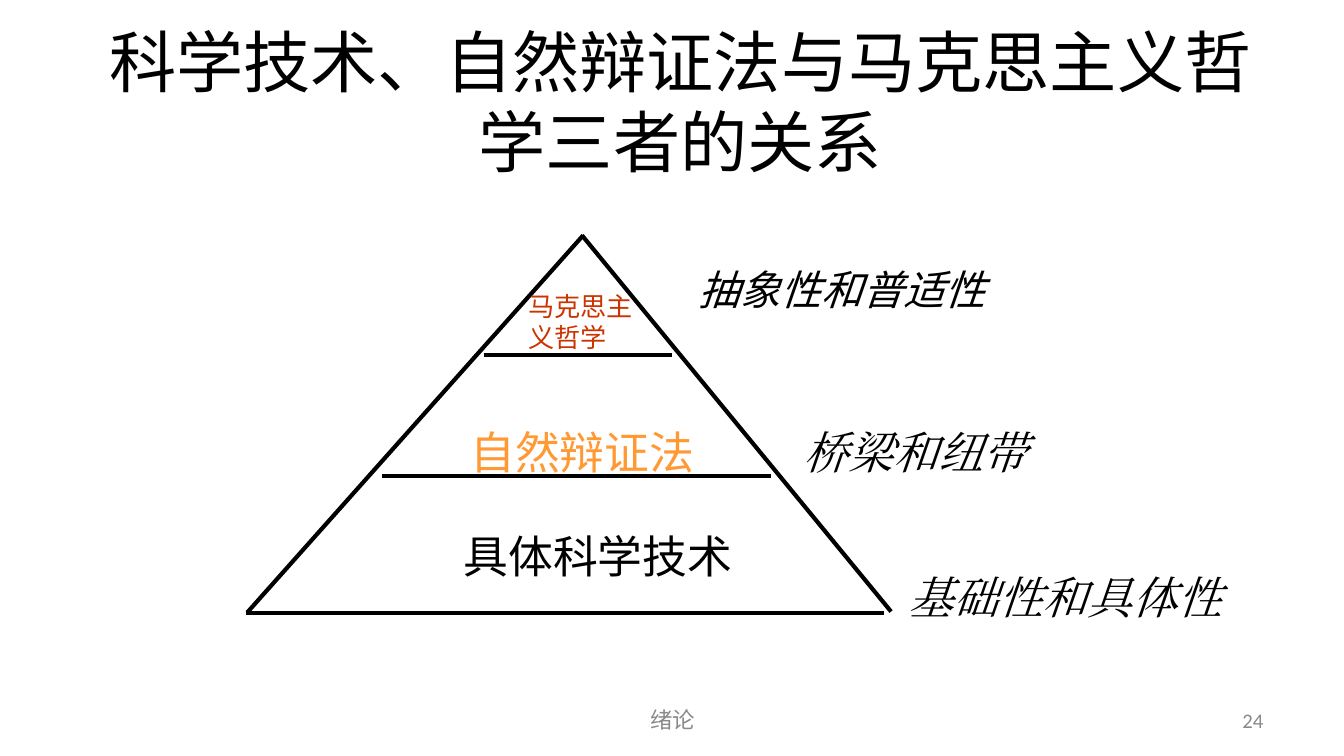
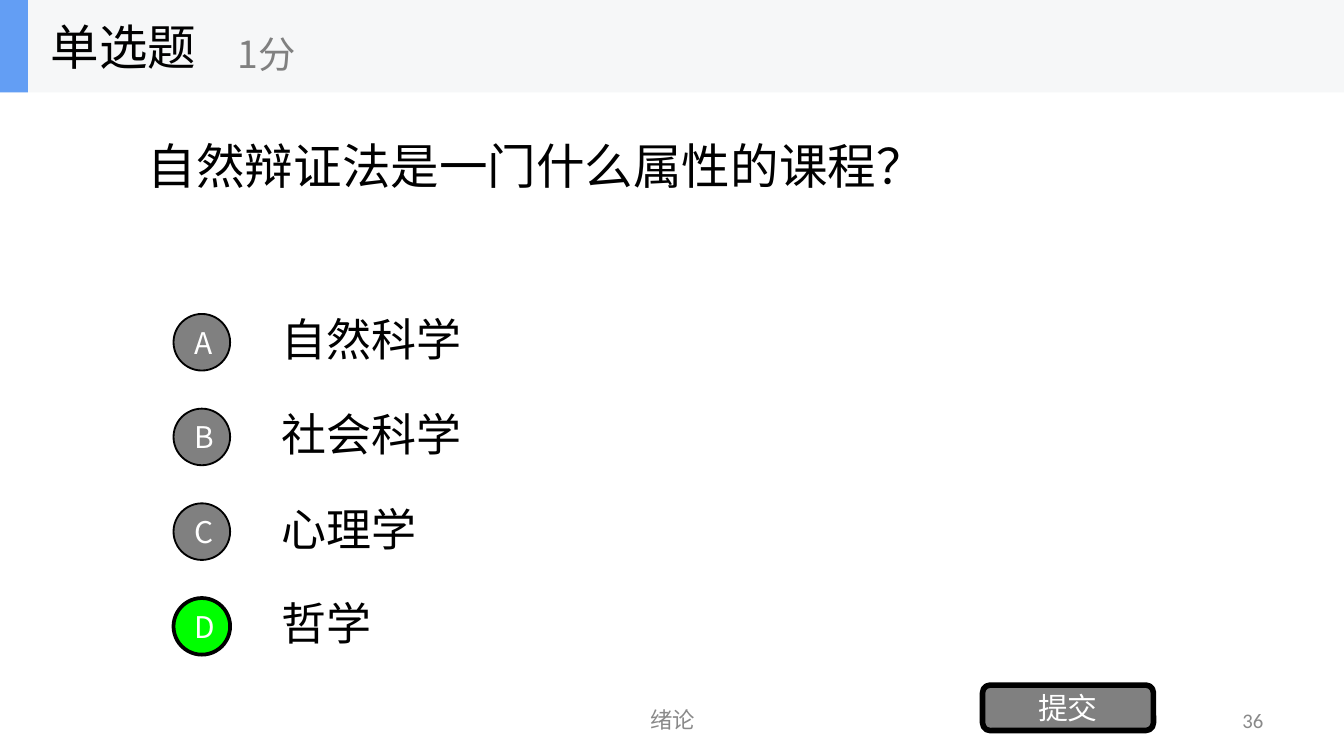
"""Build two lecture slides: a pyramid of three disciplines and a single-choice question."""
from pptx import Presentation
from pptx.dml.color import RGBColor
from pptx.enum.shapes import MSO_CONNECTOR, MSO_SHAPE
from pptx.enum.text import MSO_ANCHOR, MSO_AUTO_SIZE, PP_ALIGN
from pptx.oxml.ns import qn
from pptx.util import Cm, Pt
from lxml import etree

LEFT, CENTER, RIGHT, JUSTIFY = PP_ALIGN.LEFT, PP_ALIGN.CENTER, PP_ALIGN.RIGHT, PP_ALIGN.JUSTIFY
TOP, MIDDLE = MSO_ANCHOR.TOP, MSO_ANCHOR.MIDDLE
RECTANGLE, ROUNDED, OVAL = MSO_SHAPE.RECTANGLE, MSO_SHAPE.ROUNDED_RECTANGLE, MSO_SHAPE.OVAL
STRAIGHT = MSO_CONNECTOR.STRAIGHT
NO_AUTOFIT = MSO_AUTO_SIZE.NONE
TITLE_ONLY = 5

SANS, SERIF, FOOTER_FONT = "Noto Sans CJK SC", "Times New Roman", "Calibri"
COLORS = {
    "text": "000000", "white": "FFFFFF", "footer": "898989", "gray": "808080",
    "red": "CC3300", "orange": "FF9933", "correct": "00FF00",
    "band": "F6F7F8", "accent": "639EF4",
}
WIDTH, HEIGHT = 25.4, 14.29
BAND_HEIGHT = 1.75

FOOTER = "绪论"
PYRAMID_TITLE = "科学技术、自然辩证法与马克思主义哲学三者的关系"
PYRAMID_LINES = [
    ((11.02, 4.45), (4.67, 11.58)),
    ((11, 4.45), (16.84, 11.56)),
    ((4.65, 11.58), (16.71, 11.58)),
    ((7.21, 8.99), (14.58, 8.99)),
    ((9.14, 6.71), (12.7, 6.71)),
]
TIER_LABELS = [
    ("马克思主义哲学", (9.73, 5.36, 2.54, 1.45), dict(size=14, color="red")),
    ("自然辩证法", (8.64, 7.9, 4.72, 1.27), dict(size=24, color="orange", wrap=False)),
    ("具体科学技术", (8.51, 9.86, 5.59, 1.27), dict(size=24, wrap=False)),
]
TIER_NOTES = [
    ("抽象性和普适性", (12.95, 4.98, 7.54, 1.09),
     dict(size=22, italic=True, align=JUSTIFY, spacing=0.9)),
    ("桥梁和纽带", (14.94, 7.9, 4.72, 1.27),
     dict(size=24, font=SERIF, italic=True, wrap=False)),
    ("基础性和具体性", (16.92, 10.64, 6.43, 1.27),
     dict(size=24, font=SERIF, italic=True, wrap=False)),
]

QUESTION_TYPE, SCORE = "单选题", "1分"
QUESTION = "自然辩证法是一门什么属性的课程？"
OPTIONS = [("A", "自然科学"), ("B", "社会科学"), ("C", "心理学"), ("D", "哲学")]
ANSWER = "D"
SUBMIT = "提交"
FIRST_OPTION_MIDDLE, OPTION_STEP = 6.47, 1.79
BADGE_SIZE, OPTION_HEIGHT = 1.07, 1.35


def rgb(name):
    return RGBColor.from_string(COLORS[name])


def lengths(place):
    return [Cm(value) for value in place]


def write(box, text, *, size, color="text", font=SANS, italic=False, align=LEFT,
          anchor=TOP, spacing=None, wrap=True):
    frame = box.text_frame
    frame.word_wrap = wrap
    frame.auto_size = NO_AUTOFIT
    frame.vertical_anchor = anchor
    para = frame.paragraphs[0]
    para.alignment = align
    if spacing:
        para.line_spacing = spacing
    span = para.add_run()
    span.text = text
    span.font.size = Pt(size)
    span.font.italic = italic
    span.font.color.rgb = rgb(color)
    span.font.name = font
    east_asian = etree.SubElement(span.font._element, qn("a:ea"))
    east_asian.set("typeface", font)


def add_text(shapes, text, place, **style):
    write(shapes.add_textbox(*lengths(place)), text, **style)


def add_block(shapes, kind, place, fill, line_width=None):
    block = shapes.add_shape(kind, *lengths(place))
    block.shadow.inherit = False
    block.fill.solid()
    block.fill.fore_color.rgb = rgb(fill)
    if line_width:
        block.line.color.rgb = rgb("text")
        block.line.width = Pt(line_width)
    else:
        block.line.fill.background()
    return block


def add_line(shapes, start, end):
    line = shapes.add_connector(STRAIGHT, *lengths(start + end))
    line.line.color.rgb = rgb("text")
    line.line.width = Pt(2.25)
    etree.SubElement(line._element.spPr, qn("a:effectLst"))


def add_page(deck, title, place, number, **style):
    page = deck.slides.add_slide(deck.slide_layouts[TITLE_ONLY])
    heading = page.shapes.title
    heading.left, heading.top, heading.width, heading.height = lengths(place)
    write(heading, title, anchor=MIDDLE, **style)
    footer_style = dict(font=FOOTER_FONT, color="footer", anchor=MIDDLE)
    add_text(page.shapes, FOOTER, (8.69, 13.23, 8.05, 0.76),
             size=12, align=CENTER, **footer_style)
    add_text(page.shapes, str(number), (18.21, 13.23, 5.92, 0.76),
             size=11.1, align=RIGHT, **footer_style)
    return page


def build_pyramid(deck):
    page = add_page(deck, PYRAMID_TITLE, (1.68, 0.56, 22.35, 2.69), 24,
                    size=36, align=CENTER)
    for start, end in PYRAMID_LINES:
        add_line(page.shapes, start, end)
    for text, place, style in TIER_LABELS + TIER_NOTES:
        add_text(page.shapes, text, place, **style)


def build_question(deck):
    page = add_page(deck, QUESTION, (2.54, 0.89, 20.32, 4.47), 36, size=26)
    button_style = dict(size=16, color="white", align=CENTER, anchor=MIDDLE)
    for index, (letter, text) in enumerate(OPTIONS):
        middle = FIRST_OPTION_MIDDLE + index * OPTION_STEP
        add_text(page.shapes, text, (5.08, middle - OPTION_HEIGHT / 2, 17.78, OPTION_HEIGHT),
                 size=24.1, anchor=MIDDLE, spacing=0.9)
        fill, line_width = ("correct", 2) if letter == ANSWER else ("gray", 1)
        badge = add_block(page.shapes, OVAL,
                          (3.28, middle - BADGE_SIZE / 2, BADGE_SIZE, BADGE_SIZE),
                          fill, line_width)
        write(badge, letter, **button_style)
    button = add_block(page.shapes, ROUNDED, (18.57, 12.95, 3.23, 0.86), "gray", 3)
    write(button, SUBMIT, **button_style)

    header = page.shapes.add_group_shape().shapes
    add_block(header, RECTANGLE, (0, 0, WIDTH, BAND_HEIGHT), "band")
    add_block(header, RECTANGLE, (0, 0, 0.53, BAND_HEIGHT), "accent")
    add_text(header, QUESTION_TYPE, (0.71, 0, 5.28, BAND_HEIGHT), size=26, anchor=MIDDLE)
    add_text(header, SCORE, (4.24, 0.3, 6.35, 1.42), size=20, color="gray", anchor=MIDDLE)


def main():
    deck = Presentation()
    deck.slide_width, deck.slide_height = Cm(WIDTH), Cm(HEIGHT)
    build_pyramid(deck)
    build_question(deck)
    deck.save("out.pptx")


if __name__ == "__main__":
    main()
